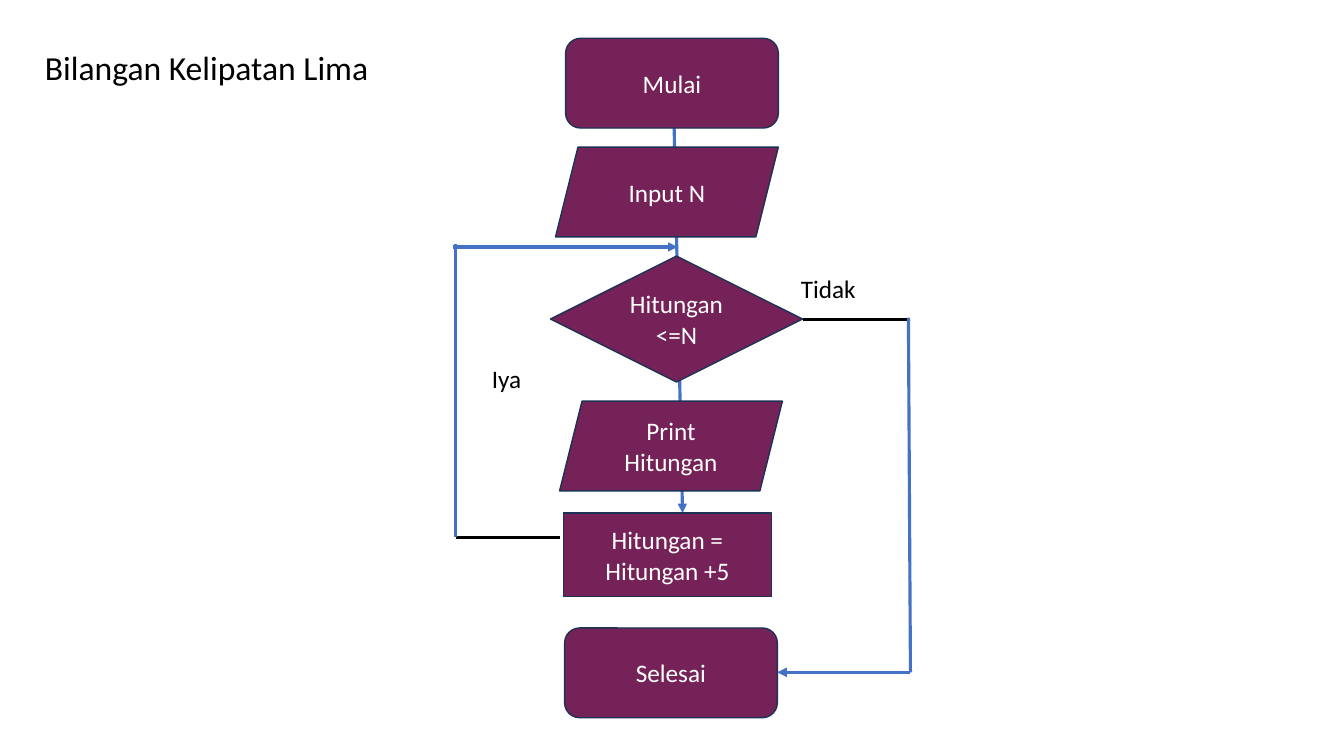
from dataclasses import dataclass

from lxml import etree
from pptx import Presentation
from pptx.dml.color import RGBColor
from pptx.enum.shapes import MSO_CONNECTOR, MSO_SHAPE
from pptx.enum.text import MSO_ANCHOR, PP_ALIGN
from pptx.oxml.ns import qn
from pptx.util import Inches, Pt

ROUNDED = MSO_SHAPE.ROUNDED_RECTANGLE
SLANTED = MSO_SHAPE.PARALLELOGRAM
DIAMOND = MSO_SHAPE.DIAMOND
RECT = MSO_SHAPE.RECTANGLE
STRAIGHT = MSO_CONNECTOR.STRAIGHT
CENTER = PP_ALIGN.CENTER
TOP = MSO_ANCHOR.TOP
MIDDLE = MSO_ANCHOR.MIDDLE

COLORS = {
    "plum": "742257",
    "navy": "1E3256",
    "blue": "4472C4",
    "black": "000000",
    "white": "FFFFFF",
}
FONT = "Calibri"


@dataclass
class Node:
    text: str
    kind: int
    left: float
    top: float
    width: float
    height: float


@dataclass
class Link:
    x1: float
    y1: float
    x2: float
    y2: float
    color: str = "blue"
    arrow: bool = False


@dataclass
class Label:
    text: str
    left: float
    top: float
    width: float = 6.67
    height: float = 0.4
    size: int = 18
    spacing: float = 1.0


SPINE = Link(6.67, 0.51, 6.77, 5.09, arrow=True)

NODES = [
    Node("Mulai", ROUNDED, 5.61, 0.38, 2.11, 0.89),
    Node("Input N", SLANTED, 5.51, 1.46, 2.21, 0.89),
    Node("Hitungan <=N", DIAMOND, 5.46, 2.54, 2.5, 1.25),
    Node("Print Hitungan", SLANTED, 5.55, 3.98, 2.21, 0.89),
    Node("Hitungan = Hitungan +5", RECT, 5.59, 5.09, 2.06, 0.83),
    Node("Selesai", ROUNDED, 5.6, 6.23, 2.11, 0.89),
]

BRANCHES = [
    Link(7.96, 3.17, 9.01, 3.17, color="black"),
    Link(9.01, 3.15, 9.03, 6.67),
    Link(9.03, 6.67, 7.71, 6.67, arrow=True),
    Link(4.52, 5.33, 5.55, 5.33, color="black"),
    Link(4.52, 2.42, 4.52, 5.33),
    Link(4.49, 2.45, 6.72, 2.45, arrow=True),
]

LABELS = [
    Label("Bilangan Kelipatan Lima", 0.15, 0.46, 3.8, 0.63, size=24, spacing=0.9),
    Label("Iya", 1.69, 3.56),
    Label("Tidak", 4.88, 2.66),
]


def rgb(name: str) -> RGBColor:
    return RGBColor.from_string(COLORS[name])


def write(sp, text: str, *, size: int = 18, color: str = "black",
          anchor=TOP, spacing: float = 1.0) -> None:
    tf = sp.text_frame
    tf.word_wrap = True
    tf.vertical_anchor = anchor
    p = tf.paragraphs[0]
    p.alignment = CENTER
    p.line_spacing = spacing
    r = p.add_run()
    r.text = text
    r.font.name = FONT
    r.font.size = Pt(size)
    r.font.color.rgb = rgb(color)


def draw_node(s, node: Node) -> None:
    sp = s.shapes.add_shape(node.kind, Inches(node.left), Inches(node.top),
                            Inches(node.width), Inches(node.height))
    sp.shadow.inherit = False
    sp.fill.solid()
    sp.fill.fore_color.rgb = rgb("plum")
    sp.line.color.rgb = rgb("navy")
    sp.line.width = Pt(1)
    write(sp, node.text, color="white", anchor=MIDDLE)


def draw_link(s, link: Link) -> None:
    cxn = s.shapes.add_connector(STRAIGHT, Inches(link.x1), Inches(link.y1),
                                 Inches(link.x2), Inches(link.y2))
    cxn.line.color.rgb = rgb(link.color)
    cxn.line.width = Pt(2.25)
    if link.arrow:
        ln = cxn.line._get_or_add_ln()
        etree.SubElement(ln, qn("a:tailEnd"), type="triangle")
    etree.SubElement(cxn._element.spPr, qn("a:effectLst"))


def draw_label(s, label: Label) -> None:
    sp = s.shapes.add_textbox(Inches(label.left), Inches(label.top),
                              Inches(label.width), Inches(label.height))
    write(sp, label.text, size=label.size, spacing=label.spacing)


prs = Presentation()
prs.slide_width = Inches(13.33)
prs.slide_height = Inches(7.5)
s = prs.slides.add_slide(prs.slide_layouts[6])

draw_link(s, SPINE)
for node in NODES:
    draw_node(s, node)
for link in BRANCHES:
    draw_link(s, link)
for label in LABELS:
    draw_label(s, label)

prs.save("out.pptx")
